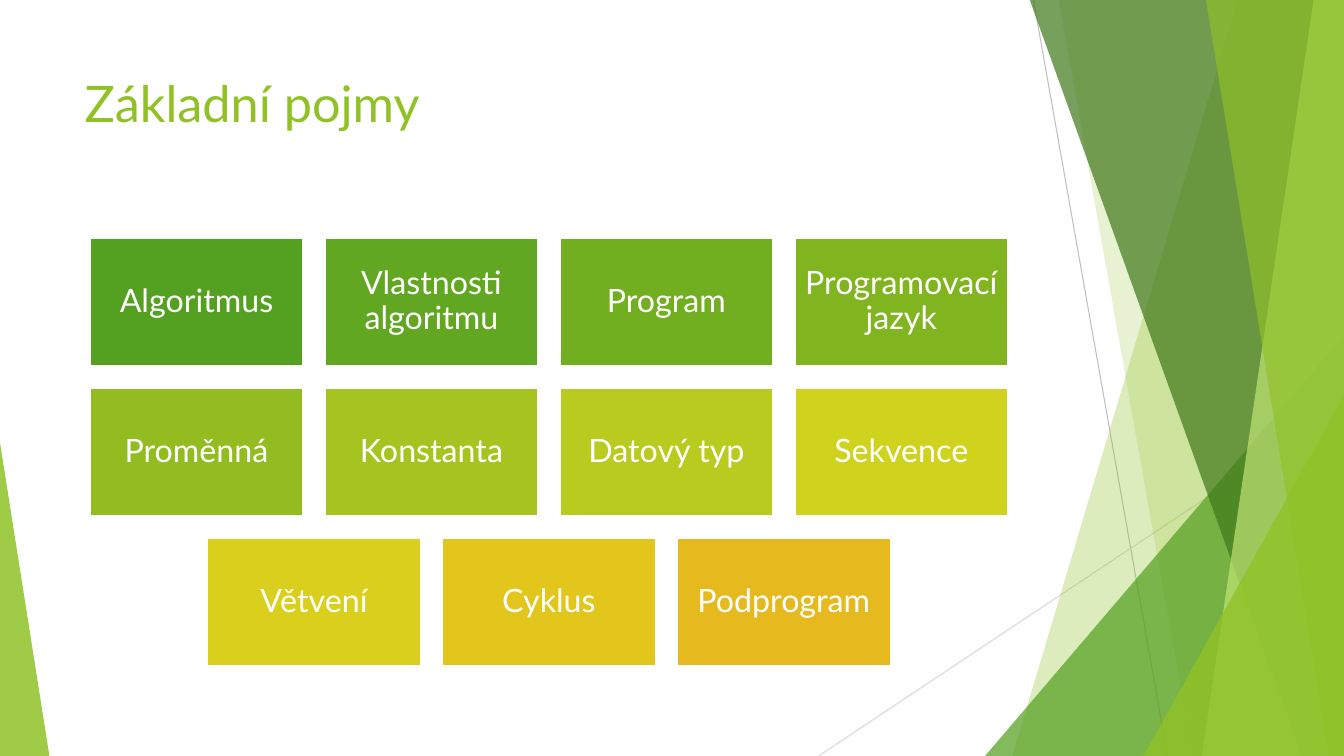
from lxml import etree
from pptx import Presentation
from pptx.dml.color import RGBColor
from pptx.enum.shapes import MSO_CONNECTOR, MSO_SHAPE
from pptx.enum.text import MSO_ANCHOR, PP_ALIGN
from pptx.oxml.ns import qn
from pptx.util import Inches, Pt

CENTER, LEFT = PP_ALIGN.CENTER, PP_ALIGN.LEFT
TOP, MIDDLE = MSO_ANCHOR.TOP, MSO_ANCHOR.MIDDLE
RECTANGLE, TRIANGLE = MSO_SHAPE.RECTANGLE, MSO_SHAPE.ISOSCELES_TRIANGLE
STRAIGHT = MSO_CONNECTOR.STRAIGHT

WHITE = RGBColor(0xFF, 0xFF, 0xFF)
GREY = RGBColor(0xBF, 0xBF, 0xBF)
LIGHT_GREY = RGBColor(0xD9, 0xD9, 0xD9)
LIME = RGBColor(0x90, 0xC2, 0x26)
PALE_LIME = RGBColor(0xC0, 0xE4, 0x74)
GREEN = RGBColor(0x54, 0xA0, 0x21)
DARK_GREEN = RGBColor(0x3F, 0x78, 0x19)

PAGE_WIDTH, PAGE_HEIGHT = 13.33, 7.5
BAND_TOP = -0.01

TILE_ROWS = [
    [("Algoritmus", GREEN),
     ("Vlastnosti algoritmu", RGBColor(0x62, 0xA7, 0x21)),
     ("Program", RGBColor(0x71, 0xAE, 0x20)),
     ("Programovací jazyk", RGBColor(0x81, 0xB5, 0x20))],
    [("Proměnná", RGBColor(0x92, 0xBC, 0x1F)),
     ("Konstanta", RGBColor(0xA5, 0xC4, 0x1F)),
     ("Datový typ", RGBColor(0xB9, 0xCB, 0x1E)),
     ("Sekvence", RGBColor(0xCF, 0xD3, 0x1D))],
    [("Větvení", RGBColor(0xDA, 0xCF, 0x1C)),
     ("Cyklus", RGBColor(0xE2, 0xC6, 0x1B)),
     ("Podprogram", RGBColor(0xE6, 0xB9, 0x1E))],
]
TILE_LEFT, TILE_TOP = 0.89, 2.36
TILE_WIDTH, TILE_HEIGHT = 2.12, 1.27
COLUMN_STEP, ROW_STEP = 2.33, 1.49


class Page:
    font_name = "Lato"

    def __init__(self, deck):
        self.slide = deck.slides.add_slide(deck.slide_layouts[5])
        self.shapes = self.slide.shapes

    def add_text(self, shape, text, size, color, align, anchor):
        frame = shape.text_frame
        frame.word_wrap = True
        frame.vertical_anchor = anchor
        para = frame.paragraphs[0]
        para.alignment = align
        span = para.add_run()
        span.text = text
        span.font.name = self.font_name
        span.font.size = Pt(size)
        span.font.color.rgb = color
        return para

    def title(self, text, left, top, width, height):
        box = self.shapes.title
        box.left, box.top = Inches(left), Inches(top)
        box.width, box.height = Inches(width), Inches(height)
        self.add_text(box, text, 36, LIME, LEFT, TOP)

    def line(self, start, end, color):
        connector = self.shapes.add_connector(
            STRAIGHT, *(Inches(value) for value in start + end))
        connector.line.color.rgb = color
        connector.line.width = Pt(0.75)
        etree.SubElement(connector._element.spPr, qn("a:effectLst"))

    def tint(self, shape, color, opacity):
        """Fill a shape without outline; opacity is in percent."""
        shape.shadow.inherit = False
        shape.line.fill.background()
        shape.fill.solid()
        shape.fill.fore_color.rgb = color
        color_node = shape._element.spPr.find(qn("a:solidFill"))[0]
        etree.SubElement(color_node, qn("a:alpha"), val=str(opacity * 1000))

    def band(self, top_x, bottom_x, color, opacity):
        """Draw a band from a slanted left edge to the right page edge."""
        corners = [(PAGE_WIDTH, BAND_TOP), (PAGE_WIDTH, PAGE_HEIGHT),
                   (bottom_x, PAGE_HEIGHT)]
        builder = self.shapes.build_freeform(Inches(top_x), Inches(BAND_TOP))
        builder.add_line_segments([(Inches(x), Inches(y)) for x, y in corners])
        self.tint(builder.convert_to_shape(), color, opacity)

    def corner(self, left, top, width, apex, color, opacity):
        """Draw a triangle standing on the bottom page edge."""
        shape = self.shapes.add_shape(
            TRIANGLE, Inches(left), Inches(top), Inches(width),
            Inches(PAGE_HEIGHT - top))
        shape.adjustments[0] = apex
        self.tint(shape, color, opacity)

    def tile(self, text, left, top, color):
        box = self.shapes.add_shape(
            RECTANGLE, Inches(left), Inches(top),
            Inches(TILE_WIDTH), Inches(TILE_HEIGHT))
        box.shadow.inherit = False
        box.fill.solid()
        box.fill.fore_color.rgb = color
        box.line.color.rgb = WHITE
        box.line.width = Pt(1.5)
        frame = box.text_frame
        frame.margin_left = frame.margin_right = Inches(0.1)
        frame.margin_top = frame.margin_bottom = Inches(0.1)
        para = self.add_text(box, text, 23, WHITE, CENTER, MIDDLE)
        para.line_spacing = 0.9


def draw_backdrop(page):
    page.line((10.25, 0), (11.58, PAGE_HEIGHT), GREY)
    page.line((PAGE_WIDTH, 4.03), (8.12, PAGE_HEIGHT), LIGHT_GREY)
    page.band(12.28, 10.04, LIME, 30)
    page.band(10.5, 11.83, LIME, 20)
    page.corner(9.77, 3.33, 3.56, 1, GREEN, 72)
    page.band(10.21, 12.91, DARK_GREEN, 70)
    page.band(13.03, 11.92, PALE_LIME, 70)
    page.band(11.96, 13.18, LIME, 65)
    page.corner(11.34, 3.93, 1.99, 1, LIME, 80)
    page.corner(0, 4.39, 0.49, 0, LIME, 85)


def draw_tiles(page):
    columns = max(len(row) for row in TILE_ROWS)
    for row_index, row in enumerate(TILE_ROWS):
        row_left = TILE_LEFT + (columns - len(row)) * COLUMN_STEP / 2
        for column, (text, color) in enumerate(row):
            page.tile(text, row_left + column * COLUMN_STEP,
                      TILE_TOP + row_index * ROW_STEP, color)


def main():
    deck = Presentation()
    deck.slide_width = Inches(PAGE_WIDTH)
    deck.slide_height = Inches(PAGE_HEIGHT)
    page = Page(deck)
    draw_backdrop(page)
    page.title("Základní pojmy", 0.74, 0.67, 9.4, 1.44)
    draw_tiles(page)
    deck.save("out.pptx")


if __name__ == "__main__":
    main()
